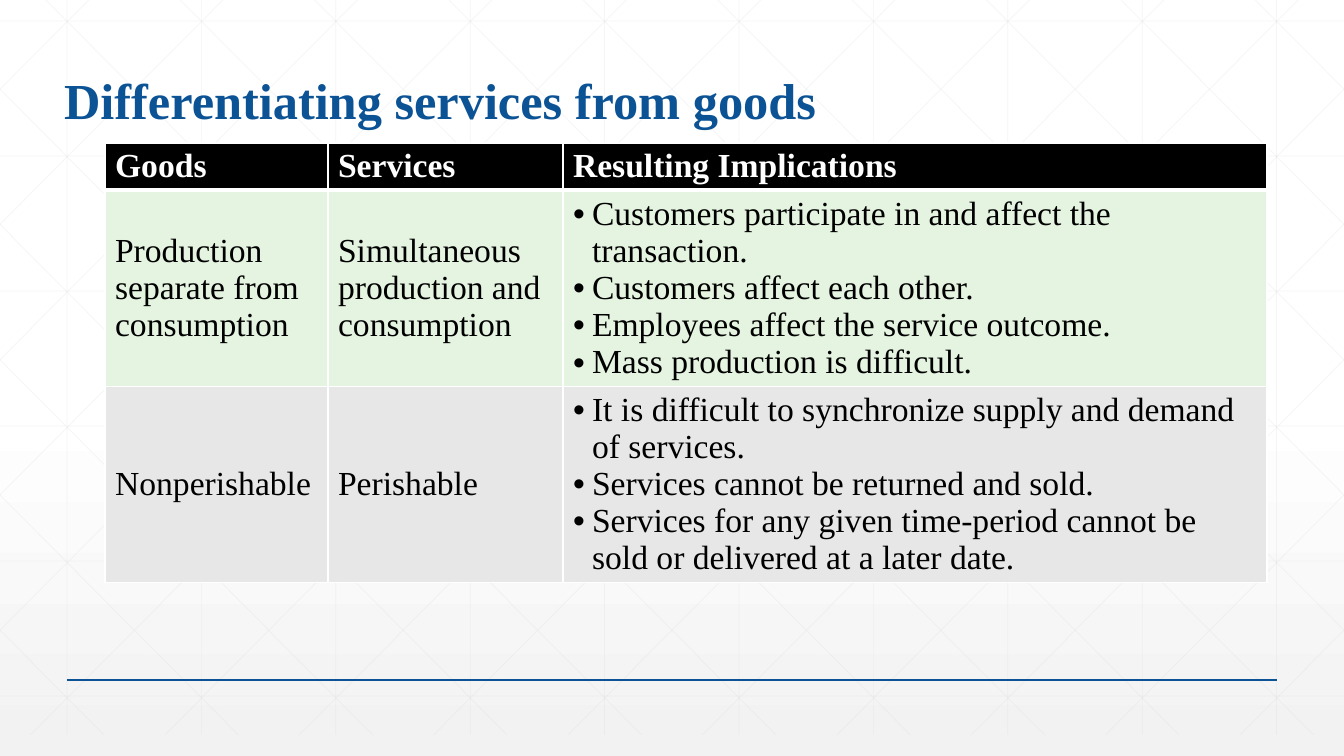
import pptx
import pptx.util
import pptx.dml.color
import pptx.enum.shapes
import pptx.enum.text
import pptx.oxml
import pptx.oxml.ns

TITLE = "Differentiating services from goods"
HEADS = ["Goods", "Services", "Resulting Implications"]
ROWS = [
    ("Production separate from consumption",
     "Simultaneous production and consumption",
     ["Customers participate in and affect the transaction.",
      "Customers affect each other.",
      "Employees affect the service outcome.",
      "Mass production is difficult."]),
    ("Nonperishable",
     "Perishable",
     ["It is difficult to synchronize supply and demand of services.",
      "Services cannot be returned and sold.",
      "Services for any given time-period cannot be sold or delivered at a later date."]),
]
FILLS = ["000000", "E5F4E0", "E7E7E7"]
FONT = "Times New Roman"

WIDE, HIGH = 1344, 756
TOP, BASE = -21, 735          # vertical reach of the background grid
STEP = WIDE / 10
TITLE_BOX = (54, 55, 1241, 80)
TABLE_AT = (105, 143)
COLS = [223, 235, 704]
TALL = [47, 196, 196]
INDENT = 19

SCALE = 914400 / 100.8


def px(n):
    return pptx.util.Emu(round(n * SCALE))


def color(code):
    return pptx.dml.color.RGBColor.from_string(code)


def node(tag, inner="", **attrs):
    """Make one DrawingML element."""
    text = " ".join(f'{key}="{val}"' for key, val in attrs.items())
    space = pptx.oxml.ns.nsdecls("a")
    return pptx.oxml.parse_xml(f"<a:{tag} {space} {text}>{inner}</a:{tag}>")


def write(frame, text, size=24, tint="000000", bold=False, bullet=False, space=None):
    """Fill a text frame with a string, or with one paragraph per list item."""
    lines = [text] if isinstance(text, str) else text
    frame.word_wrap = True
    for i, line in enumerate(lines):
        para = frame.add_paragraph() if i else frame.paragraphs[0]
        if bullet:
            props = para._p.get_or_add_pPr()
            props.set("marL", str(px(INDENT)))
            props.set("indent", str(-px(INDENT)))
            props.append(node("buFont", typeface="Arial"))
            props.append(node("buChar", char="•"))
        para.alignment = pptx.enum.text.PP_ALIGN.LEFT
        if space:
            para.line_spacing = space
        run = para.add_run()
        run.text = line
        run.font.name = FONT
        run.font.size = pptx.util.Pt(size)
        run.font.bold = bold
        run.font.color.rgb = color(tint)


def draw(shapes, start, end, tint, width, alpha=None):
    line = shapes.add_connector(
        pptx.enum.shapes.MSO_CONNECTOR.STRAIGHT, *map(px, start + end))
    line.line.color.rgb = color(tint)
    line.line.width = pptx.util.Pt(width)
    props = line._element.spPr
    if alpha:
        fill = props.find(".//" + pptx.oxml.ns.qn("a:srgbClr"))
        fill.append(node("alpha", val=alpha * 1000))
    props.append(node("effectLst"))


def grid_lines():
    """List the end points of upright, level and slanted grid lines."""
    lines = [((67 + STEP * i, TOP), (67 + STEP * i, BASE)) for i in range(10)]
    lines += [((0, 21 + 135 * i), (WIDE, 21 + 135 * i)) for i in range(6)]
    for i in range(-5, 10):
        left = 25 + STEP * i
        x1, x2 = max(left, 0), min(left + 751, WIDE)
        y1, y2 = (TOP + (x - left) * HIGH / 751 for x in (x1, x2))
        lines.append(((x1, y1), (x2, y2)))
        lines.append(((WIDE - x1, y1), (WIDE - x2, y2)))
    return lines


def border(cell, head):
    props = cell._tc.get_or_add_tcPr()
    for i, side in enumerate(("lnL", "lnR", "lnT", "lnB")):
        width = 3 if head and side == "lnB" else 1
        fill = '<a:solidFill><a:srgbClr val="FFFFFF"/></a:solidFill>'
        props.insert(i, node(side, fill, w=width * 12700))


def add_grid(shapes):
    for start, end in grid_lines():
        draw(shapes, start, end, "D9D9D9", 0.5, alpha=25)
    draw(shapes, (67, 680), (1277, 680), "0B5394", 1)


def add_table(shapes):
    data = [HEADS, *ROWS]
    size = (sum(COLS), sum(TALL))
    table = shapes.add_table(len(data), len(COLS), *map(px, TABLE_AT + size)).table
    for col, width in zip(table.columns, COLS):
        col.width = px(width)
    for r, (row, height) in enumerate(zip(data, TALL)):
        table.rows[r].height = px(height)
        head = r == 0
        for c, text in enumerate(row):
            cell = table.cell(r, c)
            cell.fill.solid()
            cell.fill.fore_color.rgb = color(FILLS[r])
            cell.vertical_anchor = pptx.enum.text.MSO_ANCHOR.MIDDLE
            border(cell, head)
            write(cell.text_frame, text, bold=head,
                  tint="FFFFFF" if head else "000000",
                  bullet=isinstance(text, list))


def add_title(shapes):
    title = shapes.title
    title.left, title.top, title.width, title.height = map(px, TITLE_BOX)
    frame = title.text_frame
    frame.auto_size = pptx.enum.text.MSO_AUTO_SIZE.NONE
    frame.vertical_anchor = pptx.enum.text.MSO_ANCHOR.BOTTOM
    write(frame, TITLE, size=36, tint="0B5395", bold=True, space=0.9)
    title._element.getparent().append(title._element)


def main():
    deck = pptx.Presentation()
    deck.slide_width, deck.slide_height = px(WIDE), px(HIGH)
    slide = deck.slides.add_slide(deck.slide_layouts[5])
    back = slide.background.fill
    back.gradient()
    back.gradient_angle = 270
    for stop, place, tint in zip(back.gradient_stops, (0.53, 1), ("FFFFFF", "F2F2F2")):
        stop.position = place
        stop.color.rgb = color(tint)
    add_grid(slide.shapes)
    add_table(slide.shapes)
    add_title(slide.shapes)
    deck.save("out.pptx")


if __name__ == "__main__":
    main()
